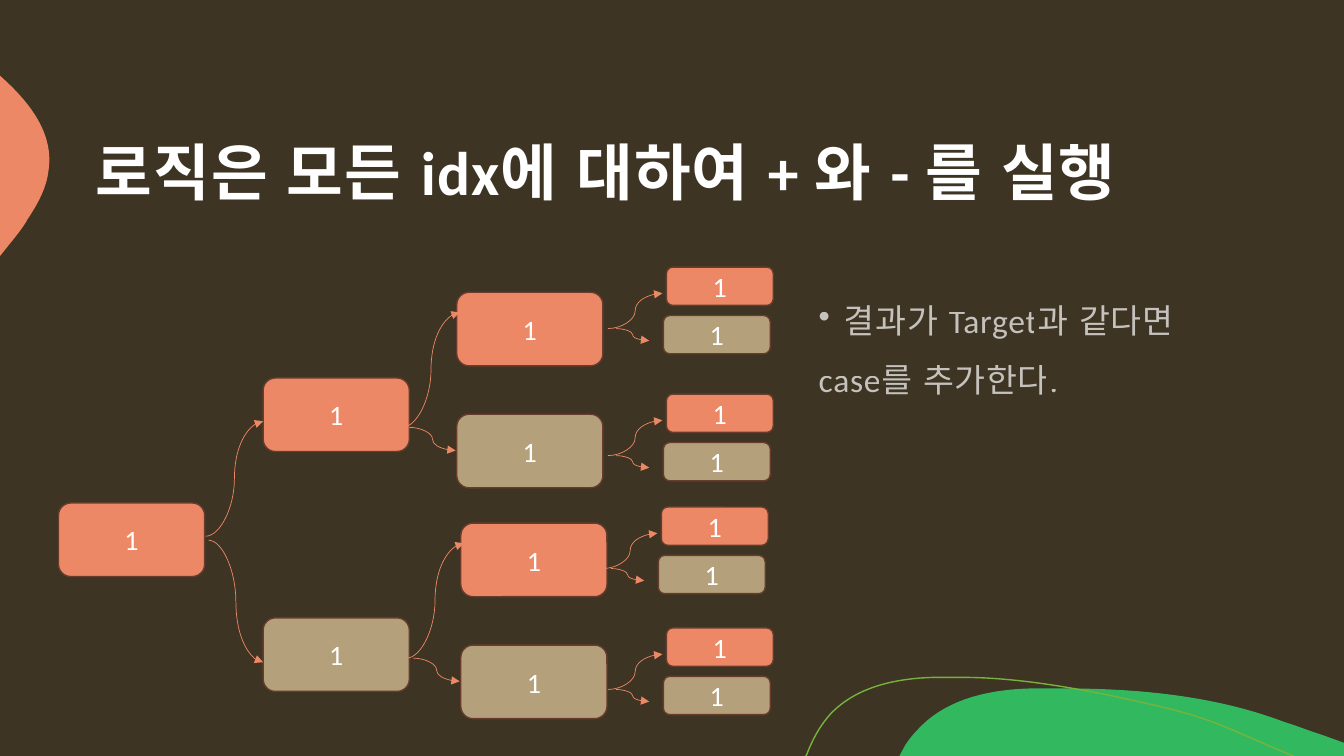
"""Build the slide that shows a plus/minus decision tree and its rule."""
from dataclasses import dataclass

from pptx import Presentation
from pptx.dml.color import RGBColor
from pptx.enum.lang import MSO_LANGUAGE_ID
from pptx.enum.shapes import MSO_CONNECTOR, MSO_SHAPE
from pptx.enum.text import MSO_ANCHOR, MSO_AUTO_SIZE, PP_ALIGN
from pptx.oxml.ns import qn
from pptx.util import Inches, Pt


@dataclass(frozen=True)
class Theme:
    background: RGBColor = RGBColor.from_string("3D3423")
    plus: RGBColor = RGBColor.from_string("ED8866")
    minus: RGBColor = RGBColor.from_string("B4A07B")
    outline: RGBColor = RGBColor.from_string("683C2D")
    green: RGBColor = RGBColor.from_string("32B960")
    vine: RGBColor = RGBColor.from_string("77B33C")
    text: RGBColor = RGBColor.from_string("FFFFFF")
    font: str = "Calibri"
    title_size: int = 44
    body_size: int = 24
    node_size: int = 20


theme = Theme()


def add_text(paragraph, text, size, bold=False, spacing=0):
    run = paragraph.add_run()
    run.text = text
    run.font.name = theme.font
    run.font.size = Pt(size)
    run.font.bold = bold
    run.font.color.rgb = theme.text
    run.font.language_id = MSO_LANGUAGE_ID.KOREAN
    run.font._element.set("spc", str(spacing))
    return run


def add_outline(shapes, segments, width, closed):
    points = [(Inches(x), Inches(y)) for segment in segments
              for x, y in zip(segment[::2], segment[1::2])]
    builder = shapes.build_freeform(*points[0])
    builder.add_line_segments(points[1:], close=closed)
    outline = builder.convert_to_shape()
    outline.shadow.inherit = False
    outline.width = Inches(width)
    path = outline._element.find(".//" + qn("a:path"))
    path.set("w", str(Inches(width)))
    steps = iter(path.findall(qn("a:lnTo")))
    for segment in segments[1:]:
        step = next(steps)
        if len(segment) == 6:
            curve = path.makeelement(qn("a:cubicBezTo"), {})
            step.addprevious(curve)
            for part in (step, next(steps), next(steps)):
                curve.append(part[0])
                path.remove(part)
    return outline


presentation = Presentation()
presentation.slide_width = Inches(13.33)
presentation.slide_height = Inches(7.5)
slide = presentation.slides.add_slide(presentation.slide_layouts[5])
slide.background.fill.solid()
slide.background.fill.fore_color.rgb = theme.background
shapes = slide.shapes

green_hill = [(10.54, 6.83), (11.28, 6.83, 12.04, 6.9, 12.73, 7.16),
              (12.86, 7.2, 12.98, 7.25, 13.11, 7.29), (13.33, 7.37), (13.33, 7.5),
              (8.92, 7.5), (8.98, 7.39), (9.02, 7.33, 9.06, 7.28, 9.11, 7.23),
              (9.39, 6.93, 9.82, 6.84, 10.23, 6.83),
              (10.33, 6.83, 10.43, 6.83, 10.54, 6.83)]
coral_edge = [(0, 0.75), (0.01, 0.76), (0.3, 1.02, 0.54, 1.33, 0.48, 1.7),
              (0.46, 1.87, 0.37, 2.03, 0.27, 2.18),
              (0.24, 2.24, 0.17, 2.33, 0.08, 2.44), (0, 2.54)]
vine_curve = [(7.99, 7.5), (8, 7.49), (8.06, 7.33, 8.14, 7.19, 8.24, 7.08),
              (8.5, 6.81, 8.89, 6.73, 9.26, 6.72), (9.55, 6.72),
              (10.22, 6.72, 11, 6.89, 11.55, 7.02),
              (12.09, 7.15, 12.26, 7.27, 12.83, 7.5)]

for segments, width, fill in ((green_hill, 4.41, theme.green),
                              (coral_edge, 0.49, theme.plus)):
    blob = add_outline(shapes, segments, width, True)
    blob.fill.solid()
    blob.fill.fore_color.rgb = fill
    blob.line.fill.background()
vine = add_outline(shapes, vine_curve, 4.84, False)
vine.fill.background()
vine.line.color.rgb = theme.vine
vine.line.width = Pt(1)

title = shapes.title
title.left, title.top = Inches(0.83), Inches(0.83)
title.width, title.height = Inches(11.67), Inches(1.67)
body = shapes.add_textbox(Inches(8), Inches(2.81), Inches(4.5), Inches(4.18))
for box, anchor in ((title, MSO_ANCHOR.MIDDLE), (body, MSO_ANCHOR.TOP)):
    frame = box.text_frame
    frame.word_wrap = True
    frame.auto_size = MSO_AUTO_SIZE.NONE
    frame.vertical_anchor = anchor
    frame.margin_left = frame.margin_right = frame.margin_top = Inches(0.12)
    frame.margin_bottom = Inches(0.1)

heading = title.text_frame.paragraphs[0]
heading.alignment = PP_ALIGN.LEFT
heading.line_spacing = 1.05
add_text(heading, "로직은 모든 idx에 대하여 + 와 - 를 실행", theme.title_size, True, 70)

first_line = body.text_frame.paragraphs[0]
second_line = body.text_frame.add_paragraph()
for paragraph, text in ((first_line, "결과가 Target과 같다면"),
                        (second_line, "case를 추가한다.")):
    paragraph.line_spacing = 1.12
    paragraph.space_before = Pt(10)
    run = add_text(paragraph, text, theme.body_size, spacing=50)
    color = run.font._element.find(".//" + qn("a:srgbClr"))
    color.append(color.makeelement(qn("a:alpha"), {"val": "70000"}))
properties = first_line._p.get_or_add_pPr()
properties.set("marL", str(Inches(0.25)))
properties.set("indent", str(Inches(-0.25)))
properties.append(properties.makeelement(qn("a:buChar"), {"char": "•"}))

large, small = (1.45, 0.73), (1.06, 0.38)
root_fork = dict(size=large, plus_box=(0.57, -1.57), minus_box=(0.57, 0.81),
                 plus_arrow=(0, 0, 0.57, -1.14), minus_arrow=(0.03, 0.04, 0.57, 1.25))
middle_fork = dict(size=large, plus_box=(0.54, -1.34), minus_box=(0.54, -0.13),
                   plus_arrow=(0, 0, 0.57, -1.14), minus_arrow=(0.07, 0, 0.53, 0.23))
leaf_fork = dict(size=small, plus_box=(0.58, -0.61), minus_box=(0.55, -0.13),
                 plus_arrow=(0, 0, 0.54, -0.35), minus_arrow=(0.08, 0, 0.41, 0.12))
forks = [(2.04, 5.32, root_fork), (3.99, 4.24, middle_fork), (4.03, 6.53, middle_fork),
         (6.03, 3.26, leaf_fork), (6.03, 4.52, leaf_fork),
         (5.98, 5.64, leaf_fork), (6.03, 6.84, leaf_fork)]

nodes = [(0.58, 4.99, large, theme.plus)]
arrows = []
for x, y, fork in forks:
    for sign, color in (("plus", theme.plus), ("minus", theme.minus)):
        dx, dy = fork[sign + "_box"]
        nodes.append((x + dx, y + dy, fork["size"], color))
        x1, y1, x2, y2 = fork[sign + "_arrow"]
        arrows.append((x + x1, y + y1, x + x2, y + y2))

for x, y, (width, height), color in nodes:
    node = shapes.add_shape(MSO_SHAPE.ROUNDED_RECTANGLE, Inches(x), Inches(y),
                            Inches(width), Inches(height))
    node.shadow.inherit = False
    node.fill.solid()
    node.fill.fore_color.rgb = color
    node.line.color.rgb = theme.outline
    node.line.width = Pt(1)
    node.text_frame.vertical_anchor = MSO_ANCHOR.MIDDLE
    label = node.text_frame.paragraphs[0]
    label.alignment = PP_ALIGN.CENTER
    add_text(label, "1", theme.node_size)

for ends in arrows:
    arrow = shapes.add_connector(MSO_CONNECTOR.CURVE, *(Inches(value) for value in ends))
    arrow.line.color.rgb = theme.plus
    arrow.line.width = Pt(0.5)
    line = arrow.line._get_or_add_ln()
    line.append(line.makeelement(qn("a:tailEnd"), {"type": "triangle"}))
    arrow_properties = arrow._element.spPr
    arrow_properties.append(arrow_properties.makeelement(qn("a:effectLst"), {}))

presentation.save("out.pptx")
